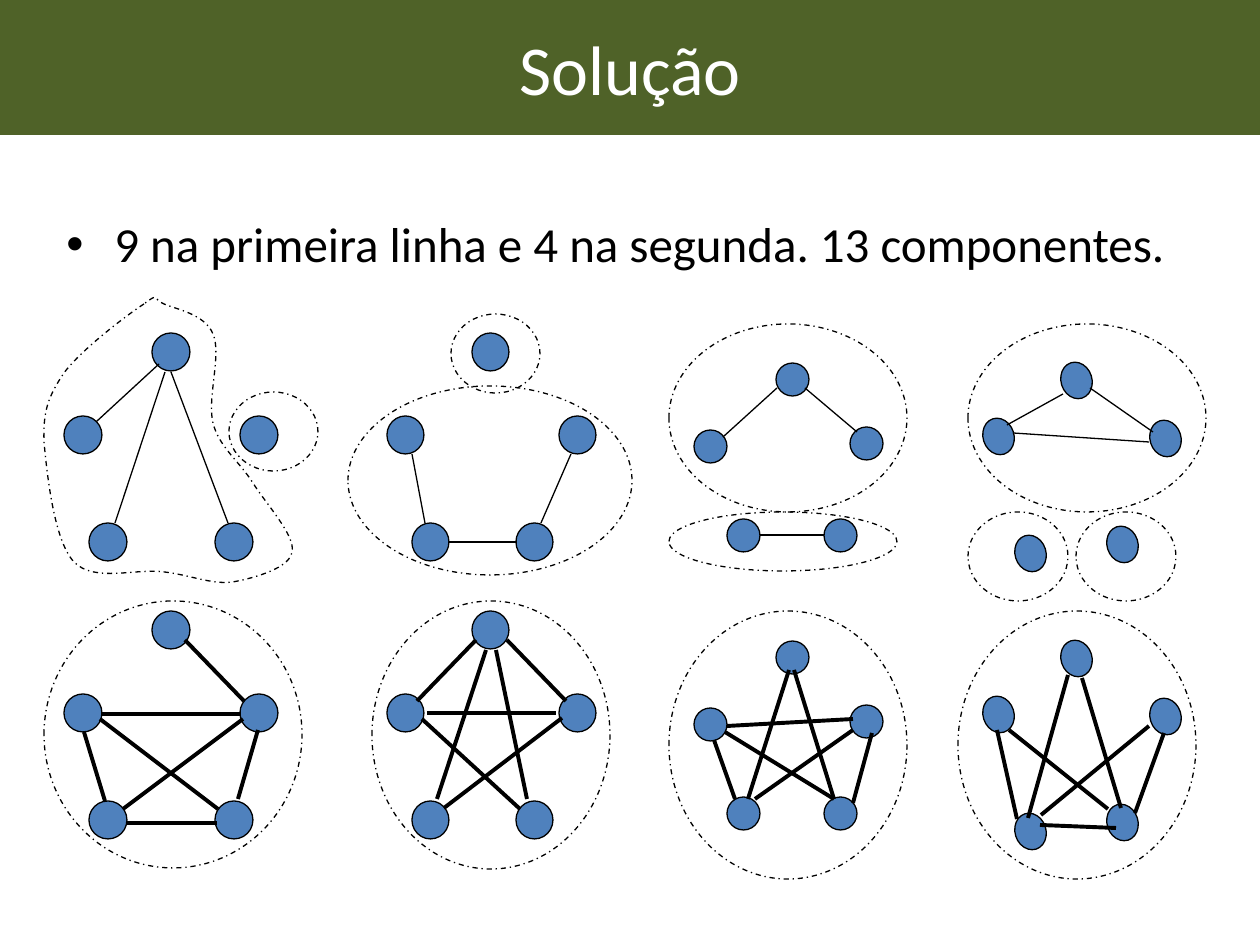
from lxml import etree
from pptx import Presentation
from pptx import util as u
from pptx.dml.color import RGBColor
from pptx.enum import dml, shapes, text
from pptx.oxml.ns import qn

GREEN = RGBColor(0x4F, 0x62, 0x28)
BLUE = RGBColor(0x4F, 0x81, 0xBD)
BLACK = RGBColor(0, 0, 0)
WHITE = RGBColor(255, 255, 255)
PX = 914400 / 126
OVAL = shapes.MSO_SHAPE.OVAL
THIN, BOLD = 0.74, 2.24
DROP = 278


def emu(*vals):
    return [u.Emu(round(v * PX)) for v in vals]


def style(item, fill=None, dash=None):
    item.shadow.inherit = False
    if fill is None:
        item.fill.background()
    else:
        item.fill.solid()
        item.fill.fore_color.rgb = fill
    item.line.color.rgb = BLACK
    item.line.width = u.Pt(THIN)
    item.line.dash_style = dash


deck = Presentation()
deck.slide_width, deck.slide_height = emu(1260, 945)
slide = deck.slides.add_slide(deck.slide_layouts[6])
tree = slide.shapes

bar = tree.add_shape(shapes.MSO_SHAPE.RECTANGLE, *emu(0, 0, 1260, 135))
style(bar, GREEN)
bar.line.fill.background()
body = tree.add_textbox(*emu(54, 214, 1170, 110))
texts = [
    (bar, "Solução", {"size": u.Pt(40), "name": "Calibri"}, WHITE,
     {"alignment": text.PP_ALIGN.CENTER}, text.MSO_ANCHOR.MIDDLE),
    (body, "9 na primeira linha e 4 na segunda. 13 componentes.",
     {"size": u.Pt(28), "name": "Calibri"}, BLACK,
     {"alignment": text.PP_ALIGN.LEFT, "line_spacing": 0.9, "space_before": u.Pt(7)},
     text.MSO_ANCHOR.TOP),
]
for box, words, font, color, para, anchor in texts:
    frame = box.text_frame
    frame.word_wrap = True
    frame.vertical_anchor = anchor
    line = frame.paragraphs[0]
    run = line.add_run()
    run.text = words
    for key, val in font.items():
        setattr(run.font, key, val)
    run.font.color.rgb = color
    for key, val in para.items():
        setattr(line, key, val)

props = body.text_frame.paragraphs[0]._p.get_or_add_pPr()
dent = emu(48)[0]
props.set("marL", str(dent))
props.set("indent", str(-dent))
etree.SubElement(props, qn("a:buFont")).set("typeface", "Arial")
etree.SubElement(props, qn("a:buChar")).set("char", "•")

graphs = [
    {"size": (38, 38), "turn": 0,
     "nodes": [(152, 333), (64, 416), (89, 523), (215, 523), (240, 416)],
     "thin": [(159, 364, 96, 422), (165, 372, 115, 523), (171, 372, 228, 523)],
     "bold": [(84, 732, 105, 801), (101, 714, 241, 714), (100, 719, 218, 809),
              (258, 730, 238, 799), (127, 823, 217, 823), (185, 640, 244, 701),
              (123, 809, 243, 719)]},
    {"size": (37, 38), "turn": 0,
     "nodes": [(472, 333), (387, 416), (412, 523), (516, 523), (559, 416)],
     "thin": [(425, 523, 412, 454), (449, 542, 517, 542), (541, 523, 571, 454)],
     "bold": [(507, 640, 566, 701), (476, 640, 417, 701), (496, 650, 527, 799),
              (486, 650, 437, 799), (427, 713, 556, 713), (422, 719, 520, 809),
              (444, 808, 562, 718)]},
    {"size": (33, 33), "turn": 0,
     "nodes": [(776, 363), (694, 430), (727, 519), (824, 519), (850, 427)],
     "thin": [(777, 388, 723, 437), (805, 388, 857, 432), (760, 535, 824, 535)],
     "bold": [(714, 740, 735, 799), (725, 732, 834, 799), (853, 719, 727, 726),
              (853, 803, 872, 733), (794, 670, 834, 799), (748, 799, 789, 670),
              (755, 799, 853, 730)]},
    {"size": (37, 31), "turn": 72.4,
     "nodes": [(1058, 365), (980, 421), (1012, 538), (1104, 529), (1147, 423)],
     "thin": [(1153, 432, 1090, 388), (1149, 442, 1013, 433), (1063, 394, 1007, 425)],
     "bold": [(1082, 678, 1121, 808), (1040, 825, 1116, 828), (1068, 675, 1028, 818),
              (997, 730, 1017, 819), (1164, 733, 1135, 813), (1009, 730, 1108, 809),
              (1149, 726, 1041, 815)]},
]
for kind, width, drop in [("bold", BOLD, DROP), ("thin", THIN, 0)]:
    for graph in graphs:
        group = tree.add_group_shape().shapes
        for x, y in graph["nodes"]:
            node = group.add_shape(OVAL, *emu(x, y + drop, *graph["size"]))
            node.rotation = graph["turn"]
            style(node, BLUE)
        for ends in graph[kind]:
            edge = group.add_connector(shapes.MSO_CONNECTOR.STRAIGHT, *emu(*ends))
            edge.line.color.rgb = BLACK
            edge.line.width = u.Pt(width)
            etree.SubElement(edge._element.spPr, qn("a:effectLst"))

DASH = dml.MSO_LINE.DASH_DOT
rings = [
    (968, 324, 238, 188), (1076, 512, 100, 89), (968, 512, 100, 89),
    (669, 324, 238, 188), (669, 512, 228, 59), (451, 314, 89, 79),
    (348, 386, 284, 189), (229, 392, 89, 79), (958, 611, 238, 268),
    (669, 611, 238, 268), (372, 601, 238, 268), (44, 601, 258, 267),
]
for ring in rings:
    style(tree.add_shape(OVAL, *emu(*ring)), dash=DASH)

start = (144, 304)
curves = [
    (127, 315, 81, 350, 64, 373), (48, 397, 43, 411, 44, 442),
    (47, 474, 54, 541, 74, 562), (94, 583, 137, 568, 164, 572),
    (190, 575, 212, 585, 233, 582), (255, 578, 290, 568, 292, 552),
    (296, 536, 266, 504, 253, 483), (239, 461, 219, 447, 213, 423),
    (207, 398, 222, 354, 213, 334), (205, 314, 175, 309, 164, 304),
    (152, 299, 160, 292, 144, 304),
]
pen = tree.build_freeform(*emu(*start))
pen.add_line_segments([emu(*c[4:]) for c in curves], close=True)
blob = pen.convert_to_shape()
style(blob, dash=DASH)
for seg, curve in zip(list(blob._element.iter(qn("a:lnTo"))), curves):
    bend = etree.Element(qn("a:cubicBezTo"))
    for x, y in zip(emu(*curve[::2]), emu(*curve[1::2])):
        dot = etree.SubElement(bend, qn("a:pt"))
        dot.set("x", str(x - blob.left))
        dot.set("y", str(y - blob.top))
    seg.getparent().replace(seg, bend)

deck.save("out.pptx")
